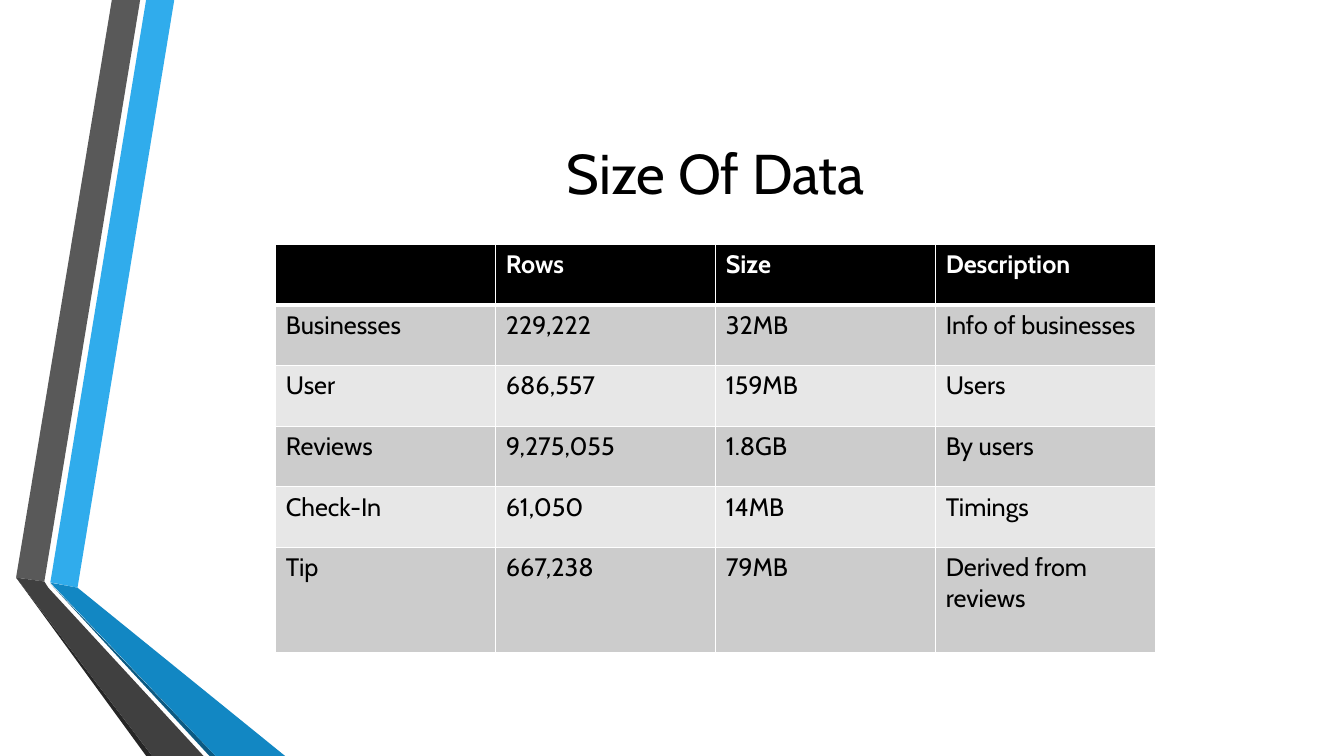
from dataclasses import dataclass

from lxml import etree
from pptx import Presentation
from pptx.dml.color import RGBColor
from pptx.enum.text import MSO_ANCHOR, PP_ALIGN
from pptx.oxml.ns import qn
from pptx.util import Pt

LEFT, CENTER = PP_ALIGN.LEFT, PP_ALIGN.CENTER
TOP, MIDDLE = MSO_ANCHOR.TOP, MSO_ANCHOR.MIDDLE


@dataclass(frozen=True)
class Theme:
    font: str = "Cabin"
    title_size: int = 40
    table_size: int = 18
    dark: str = "000000"
    light: str = "FFFFFF"
    bands: tuple = ("CCCCCC", "E7E7E7")
    blue: str = "30ACEC"
    blue_fold: str = "1287C3"
    blue_edge: str = "0C5A82"
    gray: str = "595959"
    gray_fold: str = "404040"
    gray_edge: str = "262626"


THEME = Theme()

RIBBONS = [
    (THEME.blue, [(24.5, 416), (43.9, 419.8), (113, 0), (92.9, 0)]),
    (THEME.gray, [(88.6, 0), (68.4, 0), (0, 412.6), (20.2, 415.4)]),
    (THEME.gray_edge, [(0, 412.6), (92.9, 540), (97.2, 540)]),
    (THEME.blue_edge, [(24.5, 416.9), (138.2, 540), (142.6, 540)]),
    (THEME.blue_fold, [(24.5, 416.2), (142.6, 540), (192.2, 540), (43.9, 419.8)]),
    (THEME.gray_fold, [(133.9, 540), (23, 419.8), (20.2, 415.4), (0, 412.6), (97.2, 540)]),
]

ROWS = [
    ("", "Rows", "Size", "Description"),
    ("Businesses", "229,222", "32MB", "Info of businesses"),
    ("User", "686,557", "159MB", "Users"),
    ("Reviews", "9,275,055", "1.8GB", "By users"),
    ("Check-In", "61,050", "14MB", "Timings"),
    ("Tip", "667,238", "79MB", "Derived from reviews"),
]


def write_text(tf, text, *, size, color, bold=False, align=LEFT, anchor=TOP):
    tf.word_wrap = True
    tf.vertical_anchor = anchor
    p = tf.paragraphs[0]
    p.alignment = align
    r = p.add_run()
    r.text = text
    r.font.name = THEME.font
    r.font.size = Pt(size)
    r.font.bold = bold
    r.font.color.rgb = RGBColor.from_string(color)


def set_borders(cell, color, **widths):
    tc_pr = cell._tc.get_or_add_tcPr()
    for side, width in widths.items():
        ln = etree.SubElement(tc_pr, qn(f"a:ln{side}"), w=str(Pt(width)))
        fill = etree.SubElement(ln, qn("a:solidFill"))
        etree.SubElement(fill, qn("a:srgbClr"), val=color)


def add_ribbons(s, left, top):
    for color, points in RIBBONS:
        corners = [(Pt(left + x), Pt(top + y)) for x, y in points]
        builder = s.shapes.build_freeform(*corners[0])
        builder.add_line_segments(corners[1:], close=True)
        sp = builder.convert_to_shape()
        sp.shadow.inherit = False
        sp.fill.solid()
        sp.fill.fore_color.rgb = RGBColor.from_string(color)
        sp.line.fill.background()


def add_title(s, text, left, top, width, height):
    sp = s.shapes.add_textbox(Pt(left), Pt(top), Pt(width), Pt(height))
    write_text(sp.text_frame, text, size=THEME.title_size, color=THEME.dark,
               align=CENTER, anchor=MIDDLE)


def add_data_table(s, rows, left, top, width, height, last_height):
    n_rows, n_cols = len(rows), len(rows[0])
    table = s.shapes.add_table(n_rows, n_cols, Pt(left), Pt(top),
                               Pt(width), Pt(height)).table
    for column in table.columns:
        column.width = Pt(width / n_cols)
    for row in table.rows:
        row.height = Pt((height - last_height) / (n_rows - 1))
    table.rows[n_rows - 1].height = Pt(last_height)

    for i, values in enumerate(rows):
        header = i == 0
        fill = THEME.dark if header else THEME.bands[(i - 1) % 2]
        for j, value in enumerate(values):
            cell = table.cell(i, j)
            set_borders(cell, THEME.light, L=1, R=1,
                        T=3 if i == 1 else 1, B=3 if header else 1)
            cell.fill.solid()
            cell.fill.fore_color.rgb = RGBColor.from_string(fill)
            write_text(cell.text_frame, value, size=THEME.table_size, bold=header,
                       color=THEME.light if header else THEME.dark)


def main():
    prs = Presentation()
    prs.slide_width, prs.slide_height = Pt(960), Pt(540)
    s = prs.slides.add_slide(prs.slide_layouts[6])
    add_ribbons(s, 11.5, 0)
    add_title(s, "Size Of Data", 116.6, 54, 789.1, 138.2)
    add_data_table(s, ROWS, 197, 174.5, 628.5, 291.5, last_height=75)
    prs.save("out.pptx")


if __name__ == "__main__":
    main()
